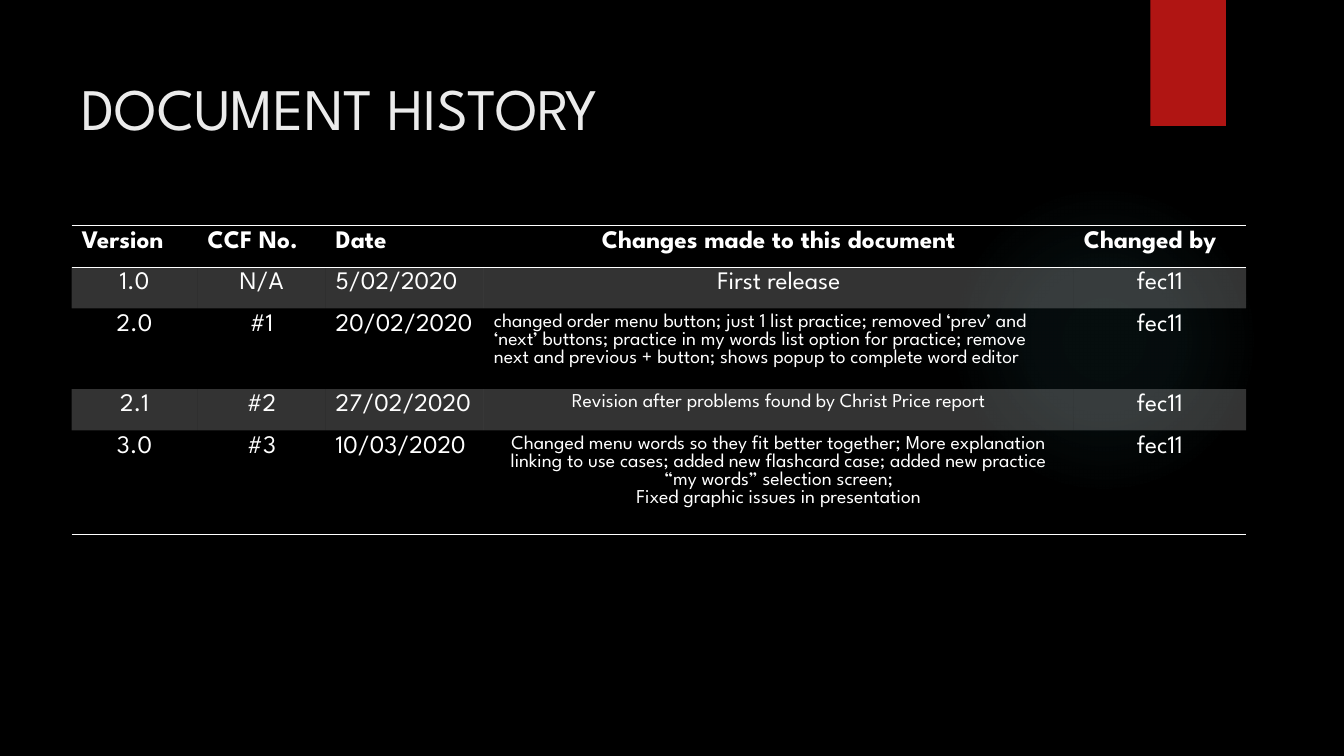
"""Build the document history slide with its version table."""
import lxml.etree
import pptx
import pptx.dml.color
import pptx.enum.shapes
import pptx.enum.text
import pptx.oxml
import pptx.oxml.ns
import pptx.util

Inches = pptx.util.Inches
Pt = pptx.util.Pt
qn = pptx.oxml.ns.qn
Align = pptx.enum.text.PP_ALIGN
Preset = pptx.enum.shapes.MSO_SHAPE

NO_STYLE = "{2D5ABB26-0587-4C30-8999-92F81FD0307C}"
COLUMN_WIDTHS = (1.25, 1.27, 1.57, 5.85, 1.71)
ROW_HEIGHT = 0.41
DATE, CHANGES = 2, 3
HEADINGS = ("Version", "CCF No.", "Date", "Changes made to this document", "Changed by")
RELEASES = (
    ("1.0", "N/A", "5/02/2020", "First release", "fec11"),
    ("2.0", "#1", "20/02/2020",
     "changed order menu button; just 1 list practice; removed ‘prev’ and ‘next’ buttons; "
     "practice in my words list option for practice; remove next and previous + button; "
     "shows popup to complete word editor", "fec11"),
    ("2.1", "#2", "27/02/2020", "Revision after problems found by Christ Price report", "fec11"),
    ("3.0", "#3", "10/03/2020",
     "Changed menu words so they fit better together; More explanation linking to use cases; "
     "added new flashcard case; added new practice “my words” selection screen;\n"
     "Fixed graphic issues in presentation", "fec11"),
)


def color(value):
    return pptx.dml.color.RGBColor.from_string(value)


class HistorySlide:
    FONT = "League Spartan"
    BACKGROUND = "000000"
    ACCENT = "B01513"
    GLOW = "50B9C1"
    TITLE = "EBEBEB"
    TEXT = "FFFFFF"

    def __init__(self, presentation):
        self.slide = presentation.slides.add_slide(presentation.slide_layouts[6])
        self.slide.background.fill.solid()
        self.slide.background.fill.fore_color.rgb = color(self.BACKGROUND)

    def shape(self, preset, left, top, width, height):
        shape = self.slide.shapes.add_shape(
            preset, Inches(left), Inches(top), Inches(width), Inches(height))
        shape.shadow.inherit = False
        shape.line.fill.background()
        return shape

    def glow(self, left, top, diameter, stops):
        circle = self.shape(Preset.OVAL, left, top, diameter, diameter)
        circle.fill.background()
        gradient = pptx.oxml.parse_xml(
            f'<a:gradFill {pptx.oxml.ns.nsdecls("a")} rotWithShape="1"><a:gsLst>'
            + "".join(
                f'<a:gs pos="{position * 1000}"><a:srgbClr val="{self.GLOW}">'
                f'<a:alpha val="{opacity * 1000}"/></a:srgbClr></a:gs>'
                for position, opacity in stops)
            + '</a:gsLst><a:path path="circle">'
            '<a:fillToRect l="50000" t="50000" r="50000" b="50000"/></a:path></a:gradFill>')
        properties = circle._element.spPr
        properties.replace(properties.find(qn("a:noFill")), gradient)

    def ribbon(self, left, top, width, height):
        ribbon = self.shape(Preset.RECTANGLE, left, top, width, height)
        ribbon.fill.solid()
        ribbon.fill.fore_color.rgb = color(self.ACCENT)

    def set_text(self, frame, text, size, ink, align=Align.LEFT, bold=False):
        frame.text = text
        frame.word_wrap = True
        for paragraph in frame.paragraphs:
            paragraph.alignment = align
            paragraph.font.name = self.FONT
            paragraph.font.size = Pt(size)
            paragraph.font.bold = bold
            paragraph.font.color.rgb = color(ink)

    def title(self, text, left, top, width, height):
        box = self.slide.shapes.add_textbox(
            Inches(left), Inches(top), Inches(width), Inches(height))
        self.set_text(box.text_frame, text, 42, self.TITLE)
        box.text_frame.margin_top = Inches(0.21)

    def rule(self, cell, *edges):
        for index, edge in enumerate(edges):
            cell._tc.get_or_add_tcPr().insert(index, pptx.oxml.parse_xml(
                f'<a:{edge} {pptx.oxml.ns.nsdecls("a")} w="{Pt(1)}"><a:solidFill>'
                f'<a:srgbClr val="{self.TEXT}"/></a:solidFill></a:{edge}>'))

    def shade(self, cell, opacity):
        cell.fill.solid()
        cell.fill.fore_color.rgb = color(self.TEXT)
        tint = cell._tc.tcPr.find(qn("a:solidFill")).find(qn("a:srgbClr"))
        lxml.etree.SubElement(tint, qn("a:alpha")).set("val", str(opacity * 1000))

    def history(self, left, top, headings, releases):
        rows = (headings, *releases)
        table = self.slide.shapes.add_table(
            len(rows), len(headings), Inches(left), Inches(top),
            Inches(sum(COLUMN_WIDTHS)), Inches(ROW_HEIGHT * len(rows))).table
        table._tbl.tblPr.find(qn("a:tableStyleId")).text = NO_STYLE
        for column, width in zip(table.columns, COLUMN_WIDTHS):
            column.width = Inches(width)
        for row_number, values in enumerate(rows):
            table.rows[row_number].height = Inches(ROW_HEIGHT)
            is_heading = row_number == 0
            for column_number, value in enumerate(values):
                cell = table.cell(row_number, column_number)
                is_change = column_number == CHANGES
                if is_heading:
                    centred = is_change
                else:
                    centred = column_number != DATE and not (is_change and row_number == 2)
                size = 14 if is_change and row_number >= 2 else 18
                self.set_text(cell.text_frame, value, size, self.TEXT,
                              Align.CENTER if centred else Align.LEFT, is_heading)
                if row_number % 2:
                    self.shade(cell, 20)
                else:
                    cell.fill.background()
                if is_heading:
                    self.rule(cell, "lnT", "lnB")
                elif row_number == len(releases):
                    self.rule(cell, "lnB")


def main():
    presentation = pptx.Presentation()
    presentation.slide_width = Inches(13.33)
    presentation.slide_height = Inches(7.5)
    page = HistorySlide(presentation)
    page.glow(9.41, 1.83, 3.08, ((0, 7), (36, 6), (69, 0)))
    page.ribbon(11.41, 0, 0.75, 1.25)
    page.title("DOCUMENT HISTORY", 0.71, 0.5, 10.29, 1.53)
    page.history(0.71, 2.24, HEADINGS, RELEASES)
    presentation.save("out.pptx")


if __name__ == "__main__":
    main()
